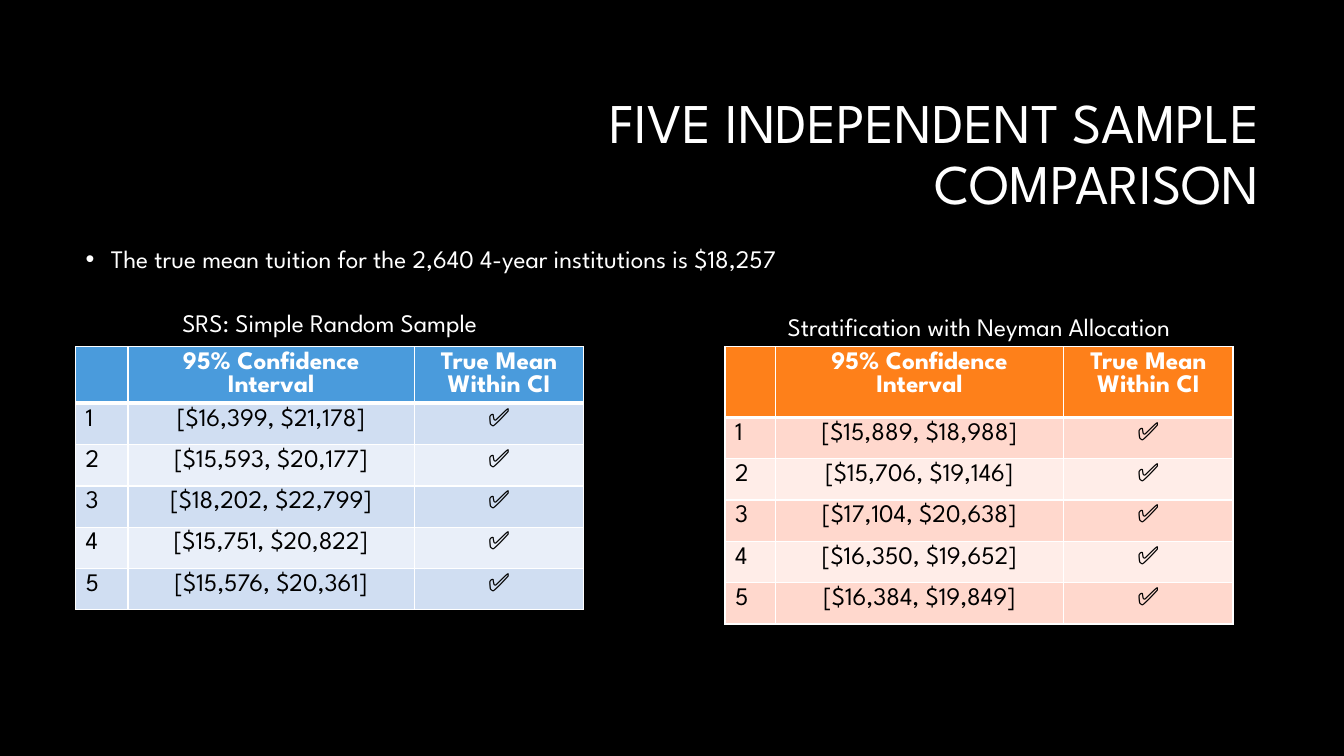
from lxml import etree
from pptx import Presentation
from pptx.dml.color import RGBColor
from pptx.enum.text import MSO_ANCHOR, MSO_AUTO_SIZE, PP_ALIGN as ALIGN
from pptx.oxml.ns import qn
from pptx.util import Inches, Pt

FONT = "League Spartan"
COLORS = {
    "background": "000000", "light": "FFFFFF", "dark": "000000",
    "blue": "4A9BDC", "blue_odd": "D0DEF2", "blue_even": "E9EFF9",
    "orange": "FE801A", "orange_odd": "FFD8CD", "orange_even": "FFEDE8",
}
HEADERS = ["", "95% Confidence Interval", "True Mean Within CI"]
HEADER_HEIGHT, ROW_HEIGHT = 0.56, 0.41
SRS_INTERVALS = [
    "[$16,399, $21,178]", "[$15,593, $20,177]", "[$18,202, $22,799]",
    "[$15,751, $20,822]", "[$15,576, $20,361]",
]
NEYMAN_INTERVALS = [
    "[$15,889, $18,988]", "[$15,706, $19,146]", "[$17,104, $20,638]",
    "[$16,350, $19,652]", "[$16,384, $19,849]",
]


def rgb(name):
    return RGBColor.from_string(COLORS[name])


def write(tf, text, size=18, color="light", bold=False, align=ALIGN.LEFT):
    p = tf.paragraphs[0]
    p.alignment = align
    r = p.add_run()
    r.text = text
    r.font.name = FONT
    r.font.size = Pt(size)
    r.font.bold = bold
    r.font.color.rgb = rgb(color)
    return p


def place(sp, box):
    sp.left, sp.top, sp.width, sp.height = [Inches(v) for v in box]


def add_title(slide, box, text):
    sp = slide.shapes.title
    place(sp, box)
    tf = sp.text_frame
    tf.word_wrap = True
    tf.auto_size = MSO_AUTO_SIZE.NONE
    tf.vertical_anchor = MSO_ANCHOR.MIDDLE
    write(tf, text, size=40, align=ALIGN.RIGHT).line_spacing = 0.9


def add_body(slide, box, text):
    sp = slide.placeholders[1]
    place(sp, box)
    tf = sp.text_frame
    tf.word_wrap = True
    tf.auto_size = MSO_AUTO_SIZE.NONE
    p = write(tf, text)
    p.line_spacing = 0.9
    p.space_before = Pt(10)
    pPr = p._p.get_or_add_pPr()
    pPr.set("marL", str(Inches(0.25)))
    pPr.set("indent", str(Inches(-0.25)))
    etree.SubElement(pPr, qn("a:buFont")).set("typeface", "Arial")
    etree.SubElement(pPr, qn("a:buChar")).set("char", "•")


def add_caption(slide, box, text):
    tf = slide.shapes.add_textbox(*[Inches(v) for v in box]).text_frame
    tf.word_wrap = True
    write(tf, text, align=ALIGN.CENTER)


def set_borders(cell, top=1, bottom=1):
    tcPr = cell._tc.get_or_add_tcPr()
    widths = {"lnL": 1, "lnR": 1, "lnT": top, "lnB": bottom}
    for i, (side, width) in enumerate(widths.items()):
        ln = etree.Element(qn(f"a:{side}"), w=str(Pt(width)))
        fill = etree.SubElement(ln, qn("a:solidFill"))
        etree.SubElement(fill, qn("a:srgbClr")).set("val", COLORS["light"])
        tcPr.insert(i, ln)


def add_interval_table(slide, box, widths, intervals, accent):
    rows = [HEADERS] + [[str(n), ci, "✅"] for n, ci in enumerate(intervals, 1)]
    table = slide.shapes.add_table(
        len(rows), len(HEADERS), *[Inches(v) for v in box]).table
    for column, width in zip(table.columns, widths):
        column.width = Inches(width)
    for i, row in enumerate(rows):
        header = i == 0
        table.rows[i].height = Inches(HEADER_HEIGHT if header else ROW_HEIGHT)
        shade = accent if header else f"{accent}_{'odd' if i % 2 else 'even'}"
        for j, text in enumerate(row):
            cell = table.cell(i, j)
            cell.fill.solid()
            cell.fill.fore_color.rgb = rgb(shade)
            set_borders(cell, top=3 if i == 1 else 1, bottom=3 if header else 1)
            write(cell.text_frame, text, bold=header,
                  color="light" if header else "dark",
                  align=ALIGN.CENTER if j else ALIGN.LEFT)


def add_sample_panel(slide, box, caption, caption_top, widths, intervals, accent):
    left, top, width, height = box
    add_interval_table(slide, box, widths, intervals, accent)
    add_caption(slide, (left, caption_top, width, 0.4), caption)


def main():
    prs = Presentation()
    prs.slide_width, prs.slide_height = Inches(13.33), Inches(7.5)
    slide = prs.slides.add_slide(prs.slide_layouts[1])
    slide.background.fill.solid()
    slide.background.fill.fore_color.rgb = rgb("background")

    add_title(slide, (3.17, 0.84, 9.42, 1.41), "FIVE INDEPENDENT SAMPLE COMPARISON")
    add_body(slide, (0.75, 2.4, 11.83, 4.4),
             "The true mean tuition for the 2,640 4-year institutions is $18,257")
    table_height = HEADER_HEIGHT + len(SRS_INTERVALS) * ROW_HEIGHT
    add_sample_panel(slide, (0.75, 3.44, 5.04, table_height),
                     "SRS: Simple Random Sample", 3.0,
                     (0.52, 2.84, 1.68), SRS_INTERVALS, "blue")
    add_sample_panel(slide, (7.19, 3.44, 5.04, table_height),
                     "Stratification with Neyman Allocation", 3.04,
                     (0.5, 2.86, 1.68), NEYMAN_INTERVALS, "orange")
    prs.save("out.pptx")


if __name__ == "__main__":
    main()
